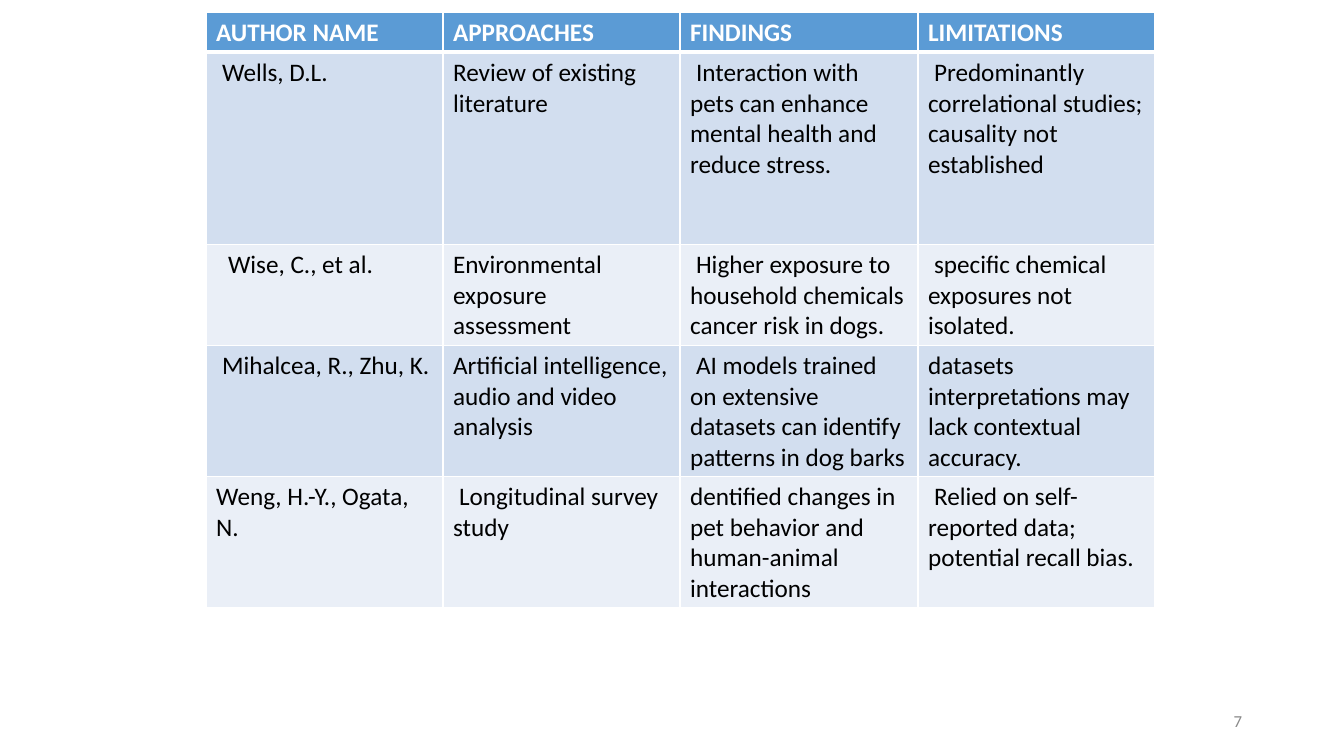
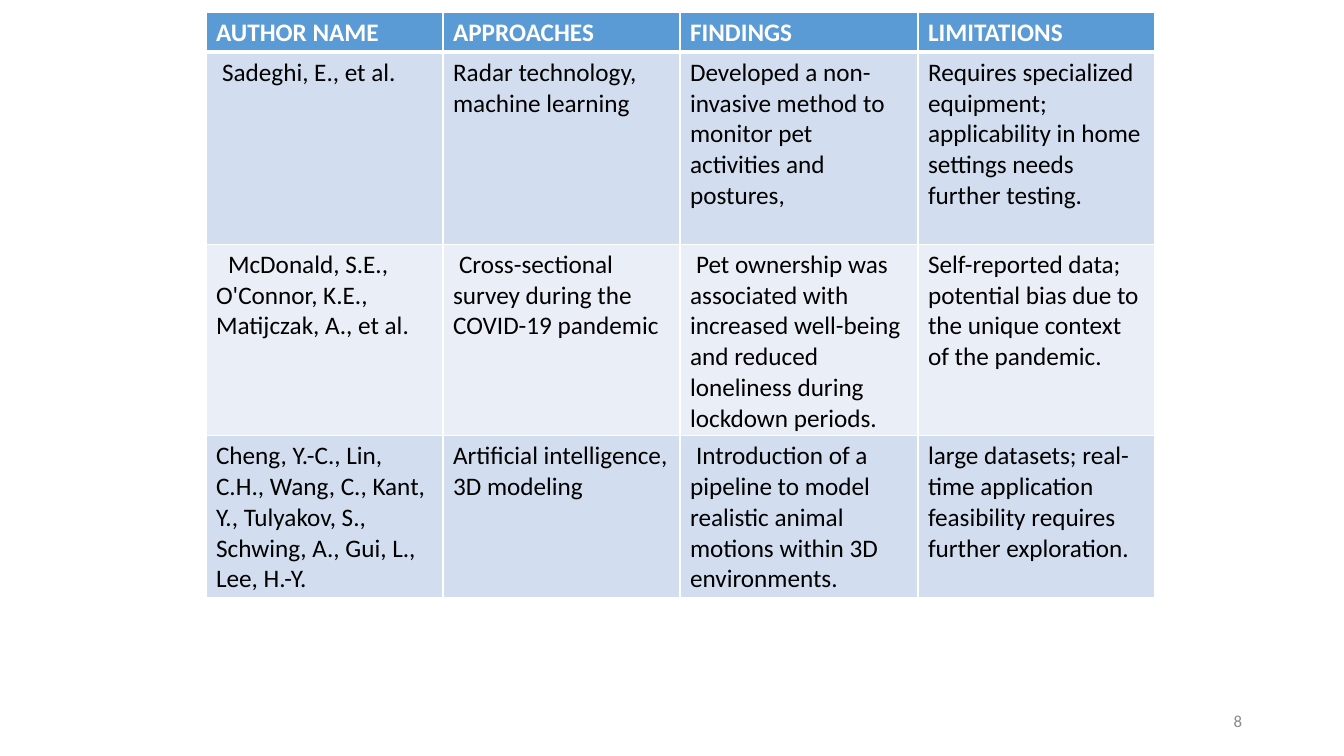
from dataclasses import dataclass
from lxml.etree import SubElement
from pptx import Presentation
from pptx.dml.color import RGBColor
from pptx.enum.text import MSO_ANCHOR, PP_ALIGN
from pptx.oxml.ns import qn
from pptx.util import Pt


@dataclass(frozen=True)
class Theme:
    font: str = "Calibri"
    head: str = "5B9BD5"
    odd: str = "D2DEEF"
    even: str = "EAEFF7"
    white: str = "FFFFFF"
    black: str = "000000"
    gray: str = "898989"
    cell: int = 18
    foot: int = 12
    thin: int = 1
    thick: int = 3


THEME = Theme()
WIDE, HIGH = 1344, 756
GRID = (206, 12)
COLS = (237, 237, 238, 237)
FOOT = (950, 701, 302, 40)
SPACE = 6
HEADS = ("AUTHOR NAME", "APPROACHES", "FINDINGS", "LIMITATIONS")

PAGES = [
    ("7", (40, 192, 101, 131, 131), [
        (" Wells, D.L.",
         "Review of existing literature",
         " Interaction with pets can enhance mental health and reduce stress.",
         " Predominantly correlational studies; causality not established"),
        ("  Wise, C., et al.",
         "Environmental exposure assessment",
         " Higher exposure to household chemicals cancer risk in dogs.",
         " specific chemical exposures not isolated."),
        (" Mihalcea, R., Zhu, K.",
         "Artificial intelligence, audio and video analysis",
         " AI models trained on extensive datasets can identify patterns in dog barks",
         "datasets interpretations may lack contextual accuracy."),
        ("Weng, H.-Y., Ogata, N.",
         " Longitudinal survey study",
         "dentified changes in pet behavior and human-animal interactions",
         " Relied on self-reported data; potential recall bias."),
    ]),
    ("8", (40, 192, 101, 131), [
        (" Sadeghi, E., et al.",
         "Radar technology, machine learning",
         "Developed a non-invasive method to monitor pet activities and postures,",
         "Requires specialized equipment; applicability in home settings needs further testing."),
        ("  McDonald, S.E., O'Connor, K.E., Matijczak, A., et al.",
         " Cross-sectional survey during the COVID-19 pandemic",
         " Pet ownership was associated with increased well-being and reduced loneliness during lockdown periods.",
         "Self-reported data; potential bias due to the unique context of the pandemic."),
        ("Cheng, Y.-C., Lin, C.H., Wang, C., Kant, Y., Tulyakov, S., Schwing, A., Gui, L., Lee, H.-Y.",
         "Artificial intelligence, 3D modeling",
         " Introduction of a pipeline to model realistic animal motions within 3D environments.",
         "large datasets; real-time application feasibility requires further exploration."),
    ]),
]


def px(num):
    return round(num * 914400 / 100.8)


def style(para, size, color, bold=False):
    for run in para.runs:
        font = run.font
        font.name = THEME.font
        font.size = Pt(size)
        font.bold = bold
        font.color.rgb = RGBColor.from_string(color)


def border(cell, row):
    props = cell._tc.get_or_add_tcPr()
    for side in "LRTB":
        heavy = (row, side) in ((0, "B"), (1, "T"))
        width = THEME.thick if heavy else THEME.thin
        line = SubElement(props, qn(f"a:ln{side}"), w=str(Pt(width)))
        fill = SubElement(line, qn("a:solidFill"))
        SubElement(fill, qn("a:srgbClr"), val=THEME.white)


def fill_cell(cell, row, text):
    border(cell, row)
    shade = THEME.head if row == 0 else (THEME.even, THEME.odd)[row % 2]
    cell.fill.solid()
    cell.fill.fore_color.rgb = RGBColor.from_string(shade)
    words = text.lstrip()
    para = cell.text_frame.paragraphs[0]
    para.text = words
    lead = len(text) - len(words)
    if lead:
        para._p.get_or_add_pPr().set("indent", str(px(lead * SPACE)))
    style(para, THEME.cell, THEME.white if row == 0 else THEME.black, row == 0)


def add_grid(slide, spot, highs, rows):
    left, top = spot
    box = (left, top, sum(COLS), sum(highs))
    table = slide.shapes.add_table(len(highs), len(COLS), *map(px, box)).table
    for col, width in zip(table.columns, COLS):
        col.width = px(width)
    for row, high in zip(table.rows, highs):
        row.height = px(high)
    for row, texts in enumerate([HEADS, *rows]):
        for col, text in enumerate(texts):
            fill_cell(table.cell(row, col), row, text)


def add_foot(slide, box, label):
    frame = slide.shapes.add_textbox(*map(px, box)).text_frame
    frame.word_wrap = True
    frame.vertical_anchor = MSO_ANCHOR.MIDDLE
    para = frame.paragraphs[0]
    para.text = label
    para.alignment = PP_ALIGN.RIGHT
    style(para, THEME.foot, THEME.gray)


def main():
    deck = Presentation()
    deck.slide_width, deck.slide_height = px(WIDE), px(HIGH)
    for label, highs, rows in PAGES:
        slide = deck.slides.add_slide(deck.slide_layouts[6])
        add_foot(slide, FOOT, label)
        add_grid(slide, GRID, highs, rows)
    deck.save("out.pptx")


if __name__ == "__main__":
    main()
